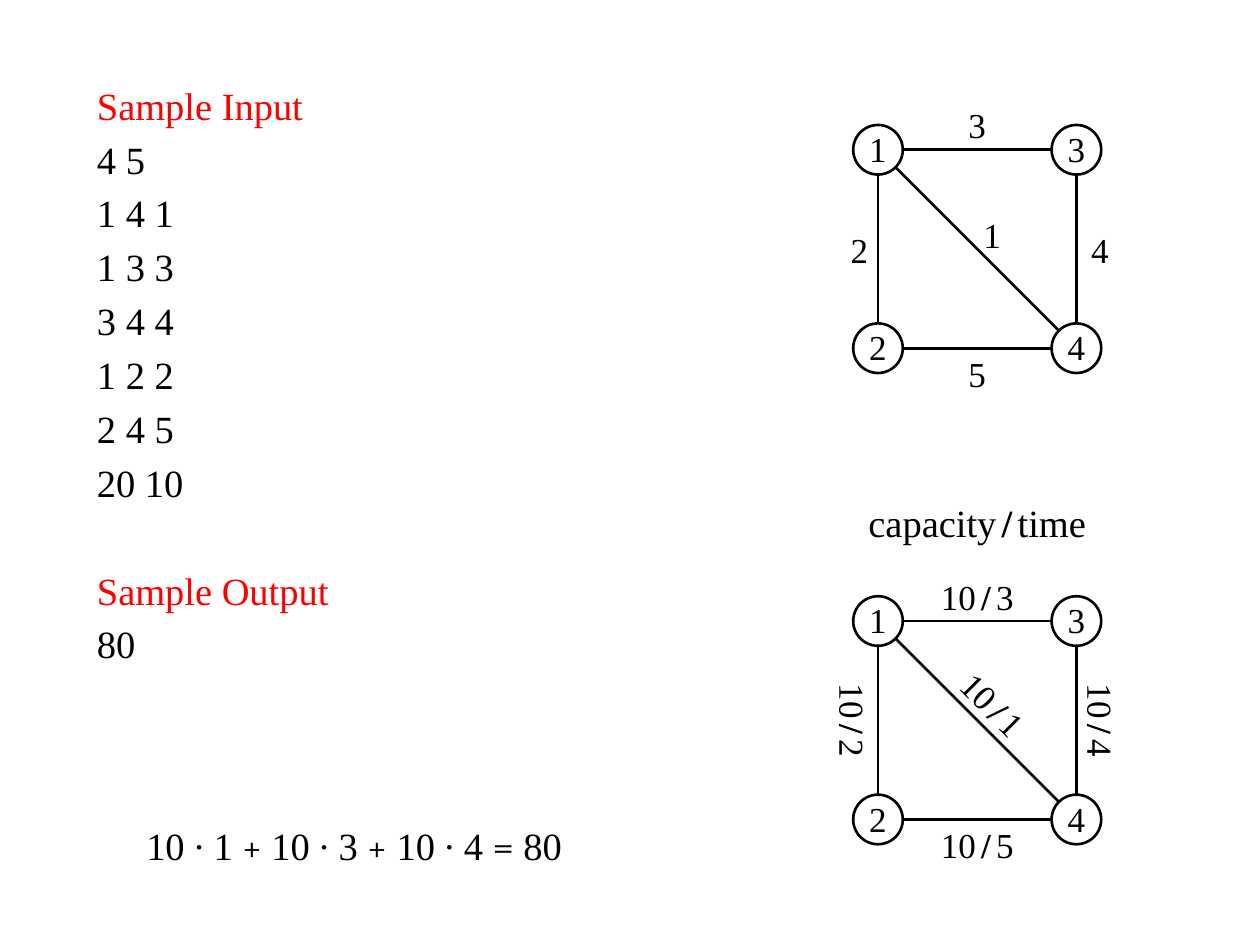
import math

import lxml.etree
import pptx
import pptx.dml.color
import pptx.enum.shapes
import pptx.enum.text
import pptx.oxml.ns
import pptx.util

Cm = pptx.util.Cm
Pt = pptx.util.Pt
ALIGN = pptx.enum.text.PP_ALIGN
BLACK = pptx.dml.color.RGBColor(0, 0, 0)
WHITE = pptx.dml.color.RGBColor(255, 255, 255)
RED = pptx.dml.color.RGBColor(255, 0, 0)

SIDE = 4
RADIUS = 0.5
NODES = {"1": (0, 0), "3": (SIDE, 0), "2": (0, SIDE), "4": (SIDE, SIDE)}
EDGES = ("14", "13", "12", "34", "24")


def add_text(para, text, font="Times New Roman", size=20, color=BLACK, bold=None, spacing=None):
    span = para.add_run()
    span.text = text
    span.font.name = font
    span.font.size = Pt(size)
    span.font.color.rgb = color
    span.font.bold = bold
    if spacing:
        span._r.get_or_add_rPr().set("spc", str(spacing * 100))


def ratio(first, second, **style):
    return [
        (first[:-1], style),
        (first[-1], dict(style, spacing=3)),
        ("/", dict(style, spacing=3, bold=True)),
        (second, style),
    ]


class Sheet:
    def __init__(self, page):
        self.page = page

    def fill_frame(self, frame, spans, margins, align):
        frame.margin_left, frame.margin_top, frame.margin_right, frame.margin_bottom = map(Cm, margins)
        frame.vertical_anchor = pptx.enum.text.MSO_ANCHOR.MIDDLE
        para = frame.paragraphs[0]
        para.alignment = align
        for text, style in spans:
            add_text(para, text, **style)

    def body(self, left, top, width, height, lines):
        self.page.shapes.title.element.getparent().remove(self.page.shapes.title.element)
        box = self.page.placeholders[1]
        box.left, box.top, box.width, box.height = map(Cm, (left, top, width, height))
        frame = box.text_frame
        frame.auto_size = pptx.enum.text.MSO_AUTO_SIZE.NONE
        for index, (text, color, gap) in enumerate(lines):
            para = frame.add_paragraph() if index else frame.paragraphs[0]
            para.space_before = Pt(gap)
            lxml.etree.SubElement(para._p.get_or_add_pPr(), pptx.oxml.ns.qn("a:buNone"))
            add_text(para, text, size=22, color=color)

    def label(self, left, top, width, height, spans, margins=(0, 0, 0, 0),
              align=ALIGN.CENTER, rotation=0):
        box = self.page.shapes.add_textbox(Cm(left), Cm(top), Cm(width), Cm(height))
        box.rotation = rotation
        box.text_frame.word_wrap = False
        self.fill_frame(box.text_frame, spans, margins, align)

    def node(self, x, y, name):
        circle = self.page.shapes.add_shape(
            pptx.enum.shapes.MSO_SHAPE.OVAL,
            Cm(x - RADIUS), Cm(y - RADIUS), Cm(2 * RADIUS), Cm(2 * RADIUS))
        circle.shadow.inherit = False
        circle.fill.solid()
        circle.fill.fore_color.rgb = WHITE
        circle.line.color.rgb = BLACK
        circle.line.width = Pt(1.5)
        self.fill_frame(circle.text_frame, [(name, {})], (0, 0, 0, 0.05), ALIGN.CENTER)

    def edge(self, start, end):
        reach = RADIUS / math.dist(start, end)
        dx, dy = ((b - a) * reach for a, b in zip(start, end))
        line = self.page.shapes.add_connector(
            pptx.enum.shapes.MSO_CONNECTOR.STRAIGHT,
            Cm(start[0] + dx), Cm(start[1] + dy), Cm(end[0] - dx), Cm(end[1] - dy))
        line.line.color.rgb = BLACK
        line.line.width = Pt(1.5)
        lxml.etree.SubElement(line._element.spPr, pptx.oxml.ns.qn("a:effectLst"))

    def graph(self, left, top, labels):
        places = {name: (left + x, top + y) for name, (x, y) in NODES.items()}
        for name, (x, y) in places.items():
            self.node(x, y, name)
        for first, second in EDGES:
            self.edge(places[first], places[second])
        for x, y, width, height, spans, style in labels:
            self.label(left + x, top + y, width, height, spans, **style)


deck = pptx.Presentation()
deck.slide_width, deck.slide_height = Cm(25.4), Cm(19.05)
sheet = Sheet(deck.slides.add_slide(deck.slide_layouts[1]))

rows = ["4 5", "1 4 1", "1 3 3", "3 4 4", "1 2 2", "2 4 5", "20 10"]
sheet.body(1.7, 1.52, 5.5, 12.5, [
    ("Sample Input", RED, 4.4),
    *[(row, BLACK, 4.4) for row in rows],
    ("Sample Output", RED, 35.2),
    ("80", BLACK, 4.4),
])

sheet.graph(17.7, 3.02, [
    (1.5, 1, 1.5, 1.5, [("1", {})], {"margins": (0.1, 0, 0, 0.1)}),
    (1.5, -1, 1, 1, [("3", {})], {}),
    (-1, 1.5, 1, 1, [("2", {})], {"margins": (0.25, 0, 0.2, 0), "align": ALIGN.RIGHT}),
    (1.5, 4, 1, 1, [("5", {})], {}),
    (4, 1.5, 1, 1, [("4", {})], {"margins": (0.2, 0, 0.25, 0)}),
])

upright = {"rotation": 90, "margins": (0.2, 0, 0.2, 0)}
sloped = {"rotation": 45, "margins": (0, 0, 0, 0.2)}
sheet.graph(17.7, 12.52, [
    (x, y, width, 1, ratio("10", time), style)
    for x, y, width, time, style in (
        (-1.5, 1.5, 2, "2", upright),
        (3.5, 1.5, 2, "4", upright),
        (1, 4, 2, "5", {}),
        (1, 1.25, 2.5, "1", sloped),
        (1, -1, 2, "3", {}),
    )
])

sheet.label(17.2, 10.03, 5, 1, ratio("capacity", "time", size=22))
large = {"size": 22}
plus = ("+", {"font": "Cambria"})
sheet.label(2.7, 16.53, 9.5, 1, [
    ("10 ∙ 1 ", large), plus, (" 10 ∙ 3 ", large), plus, (" 10 ∙ 4 ", large),
    ("=", {"font": "Cambria", "size": 22}), (" 80", large),
], margins=(0.25, 0, 0.25, 0), align=ALIGN.LEFT)

deck.save("out.pptx")
